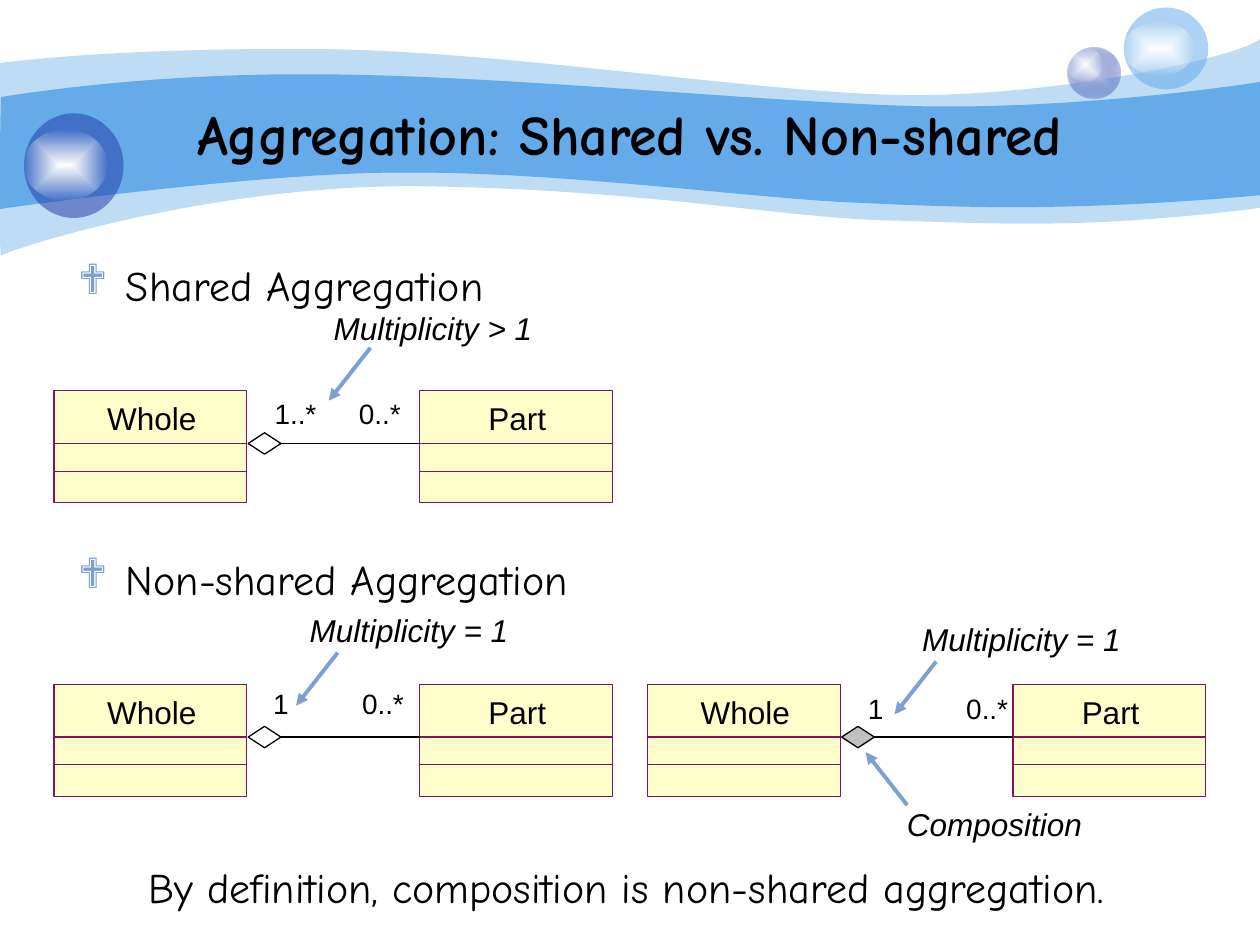
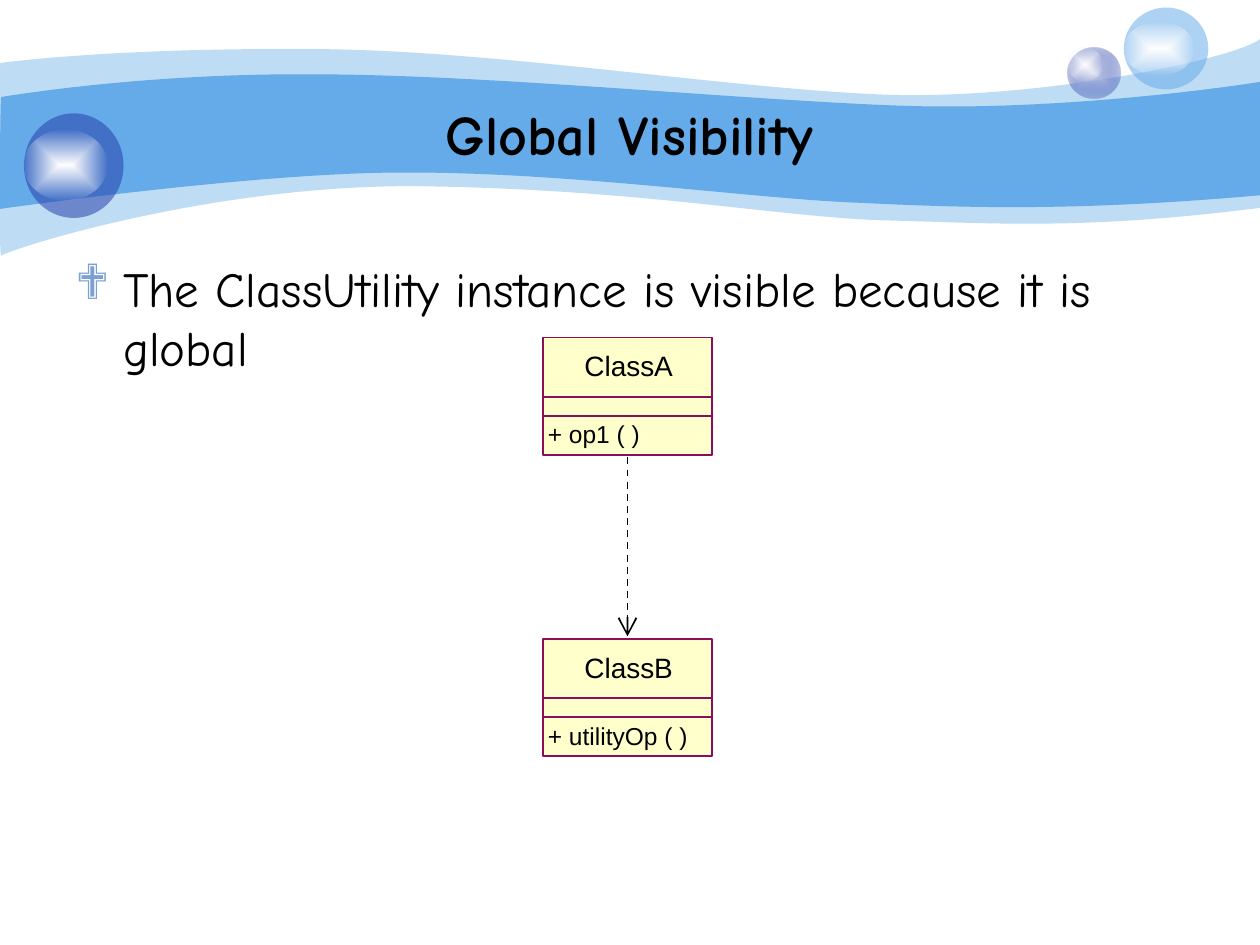
from lxml import etree
from pptx import Presentation
from pptx.dml.color import RGBColor
from pptx.enum.dml import MSO_LINE
from pptx.enum.shapes import MSO_CONNECTOR, MSO_SHAPE
from pptx.enum.text import MSO_ANCHOR, PP_ALIGN
from pptx.oxml import parse_xml
from pptx.oxml.ns import nsdecls, qn
from pptx.util import Inches, Pt

WIDTH, HEIGHT = 10, 7.5
LEFT, CENTER = PP_ALIGN.LEFT, PP_ALIGN.CENTER
MIDDLE, TOP = MSO_ANCHOR.MIDDLE, MSO_ANCHOR.TOP
ELLIPSE, DIAMOND, RECTANGLE = MSO_SHAPE.OVAL, MSO_SHAPE.DIAMOND, MSO_SHAPE.RECTANGLE
STRAIGHT, DASHED = MSO_CONNECTOR.STRAIGHT, MSO_LINE.DASH

COLORS = {
    "ink": "000000", "sky": "65AAE9", "navy": "233DA9", "lilac": "C7CEE9",
    "white": "FFFFFF", "accent": "7DA0D3", "class": "FFFFCC",
    "border": "8A0E5E", "composition": "C0C0C0",
}
HEADING, PLAIN = "Comic Neue", "Arial"

# Diagram grid: two columns and two rows of Whole-Part pairs
COLUMNS, ROWS = (0.43, 5.14), (3.1, 5.43)
PART_OFFSET = 2.9
PAIR_CLASS = {"size": (1.53, 0.89), "dividers": (0.42, 0.64), "name_top": 0.07,
              "name_height": 0.3, "points": 18, "weight": 0.75, "name_fill": None}
UTILITY_CLASS = {"size": (1.34, 0.93), "dividers": (0.47, 0.62), "name_top": 0.09,
                 "name_height": 0.27, "points": 16, "weight": 1, "name_fill": "class"}
NAME_WIDTHS = {"Whole": 0.71, "Part": 0.46, "ClassA": 0.7, "ClassB": 0.7}
DIAMOND_SIZE = (0.26, 0.17)

# Wave outlines: a start, then cubic curves (six numbers) and straight edges (two)
PALE_WAVE = [
    (0, 0.5), (0.24, 0.47, 1.07, 0.38, 2.47, 0.39), (3.86, 0.39, 5.75, 0.7, 6.99, 0.75),
    (8.22, 0.8, 9.8, 0.47, 10, 0.31), (10, 1.65), (8.58, 1.83, 7.87, 1.77, 7.05, 1.75),
    (6.22, 1.73, 5.15, 1.51, 3.43, 1.48), (1.72, 1.44, 0.04, 1.99, 0.01, 2.03),
    (-0.01, 2.08, 0, 0.75, 0, 0.5),
]
DEEP_WAVE = [
    (0.01, 0.77), (0.02, 0.77, 1.1, 0.58, 2.48, 0.59), (3.86, 0.59, 5.95, 0.8, 7.18, 0.84),
    (8.41, 0.88, 9.76, 0.69, 10, 0.65), (10, 1.55), (8.53, 1.68, 7.65, 1.65, 6.82, 1.61),
    (5.99, 1.58, 4.47, 1.36, 3.17, 1.37), (2.03, 1.37, -0.02, 1.66, -0.01, 1.66),
    (0, 1.66, 0, 0.77, 0.01, 0.77),
]


def color(name):
    return RGBColor.from_string(COLORS[name])


def inches(values):
    return [Inches(value) for value in values]


def paint(shape, fill=None, line=None, weight=0.75, alpha=None):
    shape.shadow.inherit = False
    if fill:
        shape.fill.solid()
        shape.fill.fore_color.rgb = color(fill)
    else:
        shape.fill.background()
    if alpha:
        tint = shape._element.spPr.find(qn("a:solidFill"))[0]
        etree.SubElement(tint, qn("a:alpha")).set("val", str(alpha * 1000))
    if line:
        shape.line.color.rgb = color(line)
        shape.line.width = Pt(weight)
    else:
        shape.line.fill.background()


def add_preset(page, kind, box, **look):
    shape = page.shapes.add_shape(kind, *inches(box))
    paint(shape, **look)
    return shape


def add_glow(page, box, inner, outer, alpha):
    """Ellipse that fades from its centre to a partly transparent edge."""
    properties = add_preset(page, ELLIPSE, box)._element.spPr
    gradient = parse_xml(
        f'<a:gradFill {nsdecls("a")} rotWithShape="1"><a:gsLst>'
        f'<a:gs pos="0"><a:srgbClr val="{COLORS[inner]}"/></a:gs>'
        f'<a:gs pos="100000"><a:srgbClr val="{COLORS[outer]}">'
        f'<a:alpha val="{alpha * 1000}"/></a:srgbClr></a:gs></a:gsLst>'
        '<a:path path="rect"><a:fillToRect l="50000" t="50000" r="50000" b="50000"/>'
        '</a:path></a:gradFill>')
    properties.replace(properties.find(qn("a:noFill")), gradient)


def add_wave(page, outline, alpha=None):
    """Freeform through the edge ends, whose straight edges are then bent."""
    ends = [inches(edge[-2:]) for edge in outline]
    builder = page.shapes.build_freeform(*ends[0])
    builder.add_line_segments(ends[1:], close=True)
    shape = builder.convert_to_shape()
    segments = list(shape._element.spPr.iter(qn("a:lnTo")))
    for segment, edge in zip(segments, outline[1:]):
        if len(edge) == 2:
            continue
        curve = etree.Element(qn("a:cubicBezTo"))
        for x, y in zip(edge[::2], edge[1::2]):
            point = etree.SubElement(curve, qn("a:pt"))
            point.set("x", str(Inches(x) - shape.left))
            point.set("y", str(Inches(y) - shape.top))
        segment.getparent().replace(segment, curve)
    paint(shape, "sky", alpha=alpha)


def add_line(page, start, end, ink="ink", weight=0.75, dash=None, head=None):
    line = page.shapes.add_connector(STRAIGHT, *inches(start + end))
    line.line.color.rgb = color(ink)
    line.line.width = Pt(weight)
    if dash:
        line.line.dash_style = dash
    if head:
        kind, size = head
        tail = etree.SubElement(line.line._ln, qn("a:tailEnd"))
        for name, value in {"type": kind, "w": size, "len": size}.items():
            tail.set(name, value)
    etree.SubElement(line._element.spPr, qn("a:effectLst"))


def write(para, words, size, font, **style):
    span = para.add_run()
    span.text = words
    for name, value in {"name": font, "size": Pt(size), **style}.items():
        setattr(span.font, name, value)
    span.font.color.rgb = color("ink")


def add_frame(page, box, insets=(0.1, 0.05), anchor=TOP, wrap=True, fill=None):
    if fill:
        frame = add_preset(page, RECTANGLE, box, fill=fill).text_frame
    else:
        frame = page.shapes.add_textbox(*inches(box)).text_frame
    side, edge = inches(insets)
    layout = {"margin_left": side, "margin_right": side, "margin_top": edge,
              "margin_bottom": edge, "word_wrap": wrap, "vertical_anchor": anchor}
    for name, value in layout.items():
        setattr(frame, name, value)
    return frame


def add_text(page, words, box, size, font=PLAIN, align=LEFT, frame_look=None, **style):
    para = add_frame(page, box, **(frame_look or {})).paragraphs[0]
    para.alignment = align
    write(para, words, size, font, **style)


def add_bullets(page, lines, width, size, insets, gap=0):
    frame = add_frame(page, (0.5, 2, width, 4.92), insets)
    for number, words in enumerate(lines):
        para = frame.add_paragraph() if number else frame.paragraphs[0]
        para.space_before = Pt(gap if number else size / 4)
        write(para, words, size, HEADING)
        properties = para._p.get_or_add_pPr()
        properties.set("marL", str(Inches(0.38)))
        properties.set("indent", str(Inches(-0.38)))
        tint = etree.SubElement(properties, qn("a:buClr"))
        etree.SubElement(tint, qn("a:srgbClr")).set("val", COLORS["accent"])
        etree.SubElement(properties, qn("a:buFont")).set("typeface", "Wingdings")
        etree.SubElement(properties, qn("a:buChar")).set("char", "❖")


def add_page(deck, title):
    """Blank page with the waves, the bubbles and a title."""
    page = deck.slides.add_slide(deck.slide_layouts[6])
    add_wave(page, PALE_WAVE, alpha=41)
    add_wave(page, DEEP_WAVE)
    add_glow(page, (8.47, 0.38, 0.42, 0.4), "lilac", "navy", 31)
    add_glow(page, (8.47, 0.38, 0.28, 0.27), "white", "white", 0)
    bubbles = [("sky", (8.92, 0.06, 0.67, 0.65), (8.92, 0.17, 0.56, 0.43)),
               ("navy", (0.19, 0.9, 0.79, 0.83), (0.19, 1.03, 0.66, 0.56))]
    for fill, ball, shine in bubbles:
        add_preset(page, ELLIPSE, ball, fill=fill, alpha=53)
        add_glow(page, shine, "white", "white", 0)
    add_text(page, title, (0, 0.1 * HEIGHT, WIDTH, 0.62), 32, HEADING, CENTER,
             {"anchor": MIDDLE}, bold=True)
    return page


def add_class(page, name, left, top, form):
    width, height = form["size"]
    weight = form["weight"]
    add_preset(page, RECTANGLE, (left, top, width, height), fill="class", line="border",
               weight=weight)
    for offset in form["dividers"]:
        add_line(page, (left, top + offset), (left + width, top + offset), "border", weight)
    name_width = NAME_WIDTHS[name]
    name_left = left + (width - name_width) / 2 + 0.01
    add_text(page, name, (name_left, top + form["name_top"], name_width, form["name_height"]),
             form["points"], align=CENTER,
             frame_look={"insets": (0, 0), "wrap": False, "fill": form["name_fill"]})


def add_pointer(page, tip, rise):
    """Accent arrow that reaches its tip from the right, from above or below."""
    add_line(page, (tip[0] + 0.33, tip[1] + rise), tip, "accent", 2.25,
             head=("triangle", "med"))


def add_pair(page, left, top, counts, note, note_at, tip, fill=None):
    """Whole and Part joined by a diamond line; places count from the pair's corner."""
    whole_width = PAIR_CLASS["size"][0]
    add_class(page, "Whole", left, top, PAIR_CLASS)
    add_class(page, "Part", left + PART_OFFSET, top, PAIR_CLASS)
    middle = top + PAIR_CLASS["dividers"][0]
    diamond_left = left + whole_width + 0.01
    add_line(page, (diamond_left + DIAMOND_SIZE[0], middle), (left + PART_OFFSET, middle))
    add_preset(page, DIAMOND, (diamond_left, middle - DIAMOND_SIZE[1] / 2, *DIAMOND_SIZE),
               fill=fill, line="ink")
    for words, offset, rise, width in counts:
        add_text(page, words, (left + offset, top + rise, width, 0.37), 16, align=CENTER)
    add_text(page, note, (left + note_at[0], top + note_at[1], 2.45, 0.4), 18, italic=True)
    add_pointer(page, (left + tip[0], top + tip[1]), -0.42)


def build_aggregation(deck):
    page = add_page(deck, "Aggregation: Shared vs. Non-shared")
    add_bullets(page, ("Shared Aggregation", "Non-shared Aggregation"), 8.4, 24,
                (0.12, 0.06), gap=139)

    # Shared, non-shared, and composition pairs
    add_pair(page, COLUMNS[0], ROWS[0], [("1..*", 1.42, 0, 0.99), ("0..*", 2.09, 0, 0.99)],
             "Multiplicity > 1", (2.12, -0.7), (2.18, 0.08))
    add_pair(page, COLUMNS[0], ROWS[1],
             [("1", 1.6, -0.03, 0.4), ("0..*", 2.28, -0.03, 0.66)],
             "Multiplicity = 1", (1.93, -0.63), (1.92, 0.17))
    add_pair(page, COLUMNS[1], ROWS[1],
             [("1", 1.65, 0.01, 0.31), ("0..*", 2.37, 0.01, 0.65)],
             "Multiplicity = 1", (2.08, -0.56), (1.96, 0.24), fill="composition")
    add_text(page, "Composition", (7.1, 6.34, 1.73, 0.4), 18, italic=True)
    add_pointer(page, (6.87, 5.97), 0.42)

    add_text(page, "By definition, composition is non-shared aggregation.",
             (1.08, 6.79, 8.92, 0.5), 24, HEADING)


def build_visibility(deck):
    page = add_page(deck, "Global Visibility")
    add_bullets(page, ["The ClassUtility instance is visible because it is global"],
                9, 28, (0.1, 0.05))

    # Two classes and the dependency between them
    width, height = UTILITY_CLASS["size"]
    left, top_a, top_b = 4.31, 2.68, 5.07
    classes = [("ClassA", top_a, "+ op1 ( )", 0.94), ("ClassB", top_b, "+ utilityOp ( )", 1.44)]
    for name, top, operation, operation_width in classes:
        add_class(page, name, left, top, UTILITY_CLASS)
        add_text(page, operation, (left - 0.06, top + 0.6, operation_width, 0.33), 14)
    middle = left + width / 2
    add_line(page, (middle, top_a + height + 0.02), (middle, top_b - 0.02), weight=1,
             dash=DASHED, head=("arrow", "lg"))


def main():
    deck = Presentation()
    deck.slide_width, deck.slide_height = inches((WIDTH, HEIGHT))
    build_aggregation(deck)
    build_visibility(deck)
    deck.save("out.pptx")


if __name__ == "__main__":
    main()
